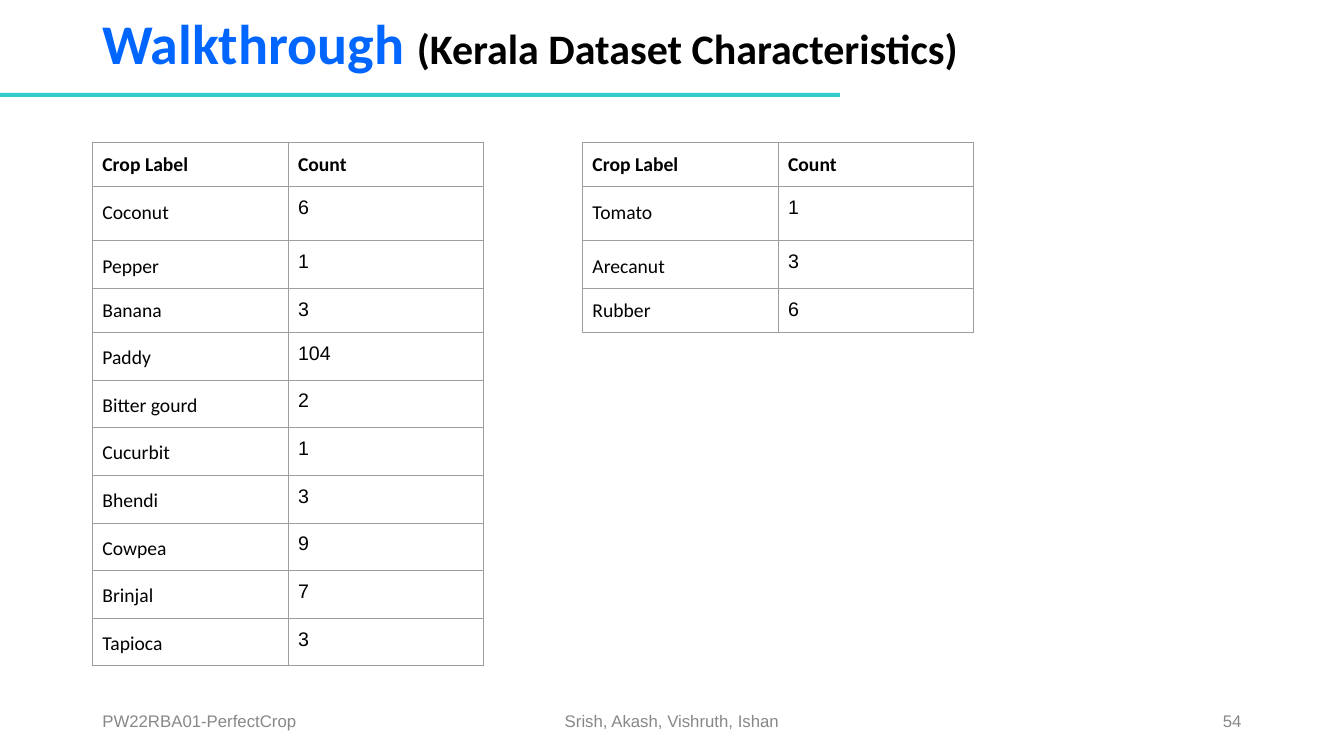
from dataclasses import dataclass

from lxml.etree import SubElement
from pptx import Presentation
from pptx.dml.color import RGBColor
from pptx.enum.shapes import MSO_SHAPE
from pptx.enum.text import MSO_ANCHOR, PP_ALIGN
from pptx.oxml.ns import qn
from pptx.util import Cm, Pt


@dataclass(frozen=True)
class Theme:
    blue: str = "0066FF"
    teal: str = "33CCCC"
    black: str = "000000"
    gray: str = "888888"
    edge: str = "9E9E9E"
    head: str = "Calibri"
    body: str = "Arial"
    title: int = 40
    sub: int = 30
    cell: int = 14
    foot: int = 12
    rule: float = 0.75


THEME = Theme()
LOOSE = 1.15  # line spacing of most crop names

# Crop, count, line spacing, row height in cm
HEAD = ("Crop Label", "Count", None, 1.11)
MAIN = [
    HEAD,
    ("Coconut", "6", LOOSE, 1.36),
    ("Pepper", "1", LOOSE, 1.2),
    ("Banana", "3", None, 1.11),
    ("Paddy", "104", LOOSE, 1.2),
    ("Bitter gourd", "2", LOOSE, 1.2),
    ("Cucurbit", "1", LOOSE, 1.2),
    ("Bhendi", "3", LOOSE, 1.2),
    ("Cowpea", "9", LOOSE, 1.2),
    ("Brinjal", "7", LOOSE, 1.2),
    ("Tapioca", "3", LOOSE, 1.2),
]
REST = [
    HEAD,
    ("Tomato", "1", LOOSE, 1.36),
    ("Arecanut", "3", LOOSE, 1.2),
    ("Rubber", "6", None, 1.11),
]


def style(font, face, size, color, bold=False):
    font.name, font.size, font.bold = face, Pt(size), bold
    font.color.rgb = RGBColor.from_string(color)


def add_box(slide, left, top, width, height):
    """Add a wrapped, middle-anchored text box and return its paragraph."""
    frame = slide.shapes.add_textbox(left, top, width, height).text_frame
    frame.word_wrap = True
    frame.vertical_anchor = MSO_ANCHOR.MIDDLE
    return frame.paragraphs[0]


def add_title(slide, left, top, width, height):
    # Rule from the slide edge below the title
    bar = slide.shapes.add_shape(
        MSO_SHAPE.RECTANGLE, 0, top + height, Cm(21.17), Cm(0.1))
    bar.shadow.inherit = False
    bar.fill.solid()
    bar.fill.fore_color.rgb = RGBColor.from_string(THEME.teal)
    bar.line.fill.background()

    # Two-tone heading
    para = add_box(slide, left, top, width, height)
    para.line_spacing = 0.9
    for text, size, color in (
            ("Walkthrough ", THEME.title, THEME.blue),
            ("(Kerala Dataset Characteristics)", THEME.sub, THEME.black)):
        run = para.add_run()
        run.text = text
        style(run.font, THEME.head, size, color, True)


def add_edges(cell):
    props = cell._tc.get_or_add_tcPr()
    for index, side in enumerate(("lnL", "lnR", "lnT", "lnB")):
        line = props.makeelement(qn(f"a:{side}"), {"w": str(Pt(THEME.rule))})
        fill = SubElement(line, qn("a:solidFill"))
        SubElement(fill, qn("a:srgbClr"), val=THEME.edge)
        props.insert(index, line)


def add_counts(slide, left, top, width, rows):
    height = Cm(sum(row[3] for row in rows))
    table = slide.shapes.add_table(
        len(rows), 2, left, top, width, height).table
    table.first_row = table.horz_banding = False
    for column in table.columns:
        column.width = width // 2
    for r, (crop, count, space, tall) in enumerate(rows):
        table.rows[r].height = Cm(tall)
        for c, text in enumerate((crop, count)):
            cell = table.cell(r, c)
            cell.fill.background()
            cell.margin_left = cell.margin_right = Cm(0.25)
            cell.margin_top = cell.margin_bottom = Cm(0.25)
            cell.text = text
            para = cell.text_frame.paragraphs[0]
            face = THEME.body if r and c else THEME.head
            style(para.font, face, THEME.cell, THEME.black, r == 0)
            if c == 0 and space:
                para.line_spacing = space
            add_edges(cell)


def add_footer(slide, left, top, width, height):
    side, mid = Cm(7.62), Cm(11.43)
    for text, x, wide, align in (
            ("PW22RBA01-PerfectCrop", left, side, PP_ALIGN.LEFT),
            ("Srish, Akash, Vishruth, Ishan", left + (width - mid) // 2, mid,
             PP_ALIGN.CENTER),
            ("54", left + width - side, side, PP_ALIGN.RIGHT)):
        para = add_box(slide, x, top, wide, height)
        para.text = text
        para.alignment = align
        style(para.font, THEME.body, THEME.foot, THEME.gray)


def main():
    deck = Presentation()
    deck.slide_width, deck.slide_height = Cm(33.87), Cm(19.05)
    slide = deck.slides.add_slide(deck.slide_layouts[6])
    left, width = Cm(2.33), Cm(29.21)

    add_title(slide, left, 0, width, Cm(2.34))
    for x, rows in ((left, MAIN), (Cm(14.68), REST)):
        add_counts(slide, x, Cm(3.6), Cm(9.86), rows)
    add_footer(slide, left, Cm(17.65), width, Cm(1.02))
    deck.save("out.pptx")


if __name__ == "__main__":
    main()
